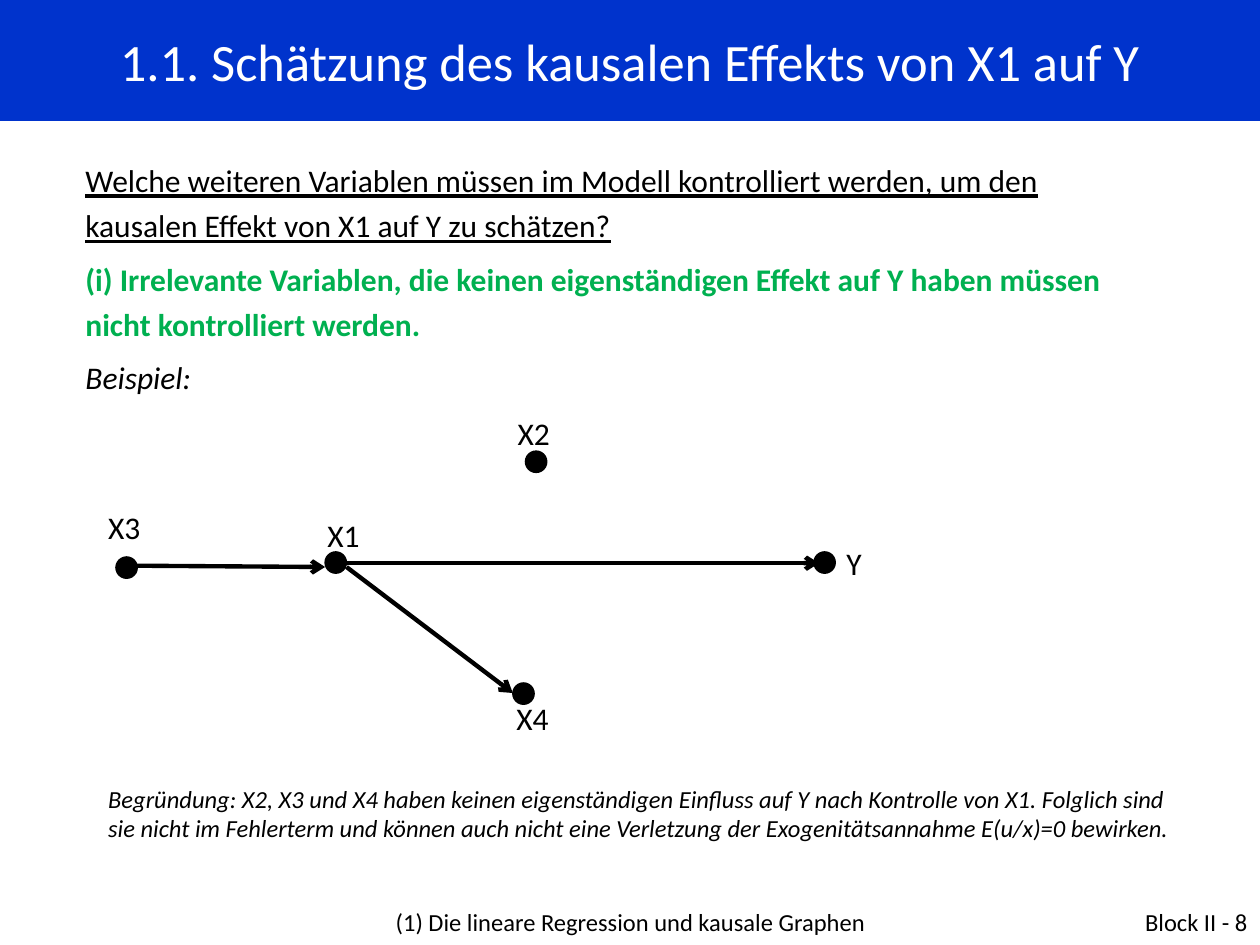
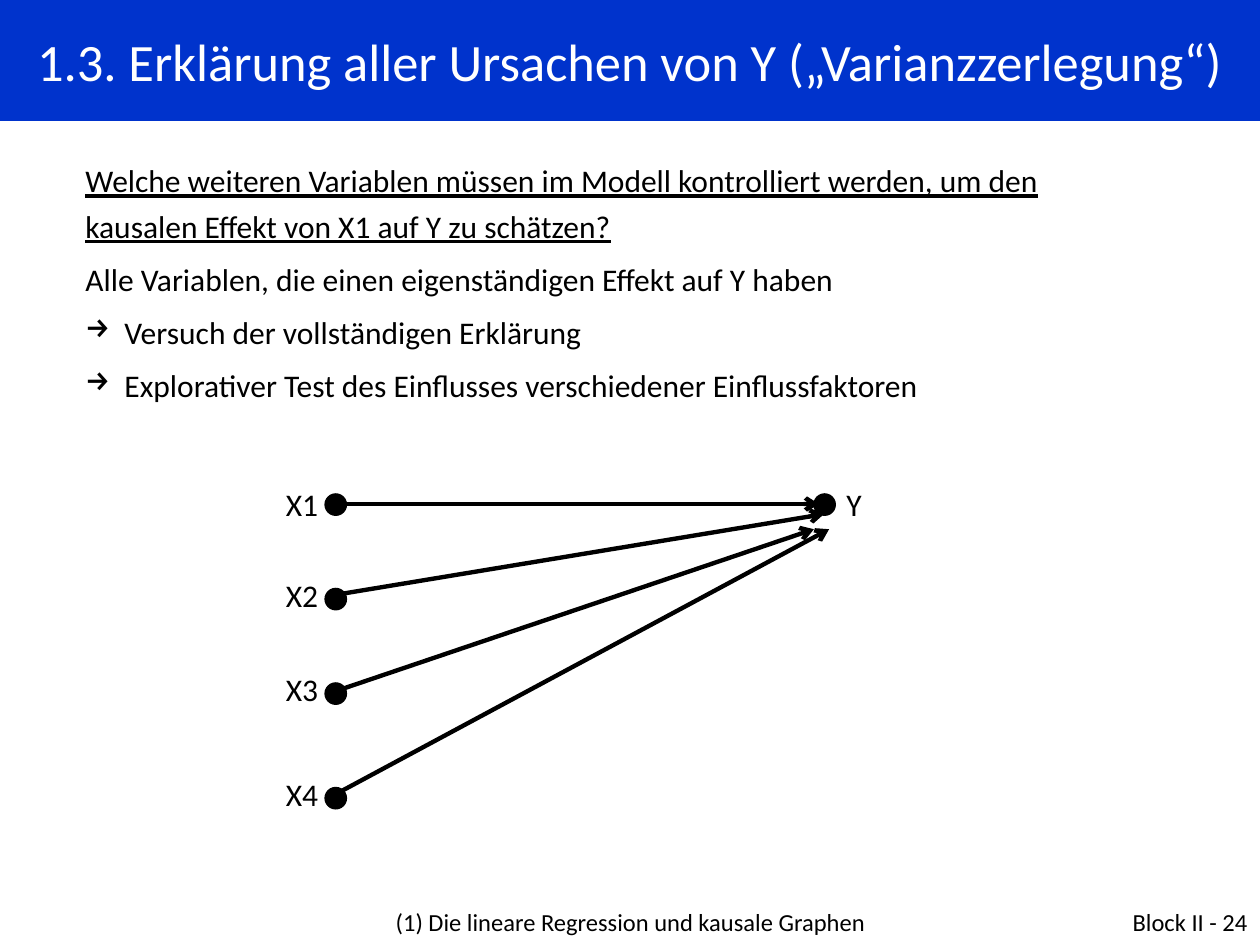
from dataclasses import dataclass, field
from typing import Any, NamedTuple

from lxml.etree import SubElement
from pptx import Presentation
from pptx.dml.color import RGBColor
from pptx.enum.shapes import MSO_CONNECTOR as Connector, MSO_SHAPE as Preset
from pptx.enum.text import MSO_ANCHOR as Anchor, MSO_AUTO_SIZE as AutoSize, PP_ALIGN as Align
from pptx.oxml.ns import qn
from pptx.slide import Slide
from pptx.util import Pt

PX = 9144  # EMU per px, 100 px to the inch
SLIDE_WIDTH, SLIDE_HEIGHT = 1000, 750
TITLE_ONLY = 5
FONT = "Calibri"
BLACK, WHITE, BLUE, GREEN = "000000", "FFFFFF", "0033CC", "00B050"
DOT = 17
LABEL_WIDTH, LABEL_HEIGHT = 50, 40
BULLET_INDENT = 31
FOOTER_TOP, FOOTER_HEIGHT = 715, 35
COURSE = "(1) Die lineare Regression und kausale Graphen"


class Box(NamedTuple):
    left: int
    top: int
    width: int
    height: int


class Node(NamedTuple):
    name: str
    dot_left: int
    dot_top: int
    label_left: int
    label_top: int


class Arrow(NamedTuple):
    x1: int
    y1: int
    x2: int
    y2: int


@dataclass
class TextLine:
    text: str
    size: float = 18
    color: str = BLACK
    align: Align = Align.LEFT
    bullet: str = ""
    font: dict[str, Any] = field(default_factory=dict)
    spacing: dict[str, Any] = field(default_factory=dict)


@dataclass
class GraphSlide:
    title: str
    page: int
    body: list[TextLine]
    body_height: int
    nodes: list[Node]
    arrows: list[Arrow]
    reason: str = ""


def body_line(text: str, color: str = BLACK, bullet: str = "", **font: Any) -> TextLine:
    spacing = {"line_spacing": 1.2, "space_after": Pt(4.5)}
    return TextLine(text, color=color, bullet=bullet, font=font, spacing=spacing)


QUESTION = body_line(
    "Welche weiteren Variablen müssen im Modell kontrolliert werden, "
    "um den kausalen Effekt von X1 auf Y zu schätzen?", underline=True)

IRRELEVANT_VARIABLES = GraphSlide(
    title="1.1. Schätzung des kausalen Effekts von X1 auf Y",
    page=8,
    body=[
        QUESTION,
        body_line("(i) Irrelevante Variablen, die keinen eigenständigen Effekt auf Y "
                  "haben müssen nicht kontrolliert werden.", GREEN, bold=True),
        body_line("Beispiel:", italic=True),
    ],
    body_height=207,
    nodes=[
        Node("X1", 258, 438, 250, 405),
        Node("X2", 417, 358, 401, 324),
        Node("X3", 92, 442, 76, 398),
        Node("X4", 407, 542, 400, 550),
        Node("Y", 646, 438, 662, 427),
    ],
    arrows=[
        Arrow(267, 447, 650, 447),
        Arrow(108, 449, 258, 450),
        Arrow(275, 450, 407, 550),
    ],
    reason="Begründung: X2, X3 und X4 haben keinen eigenständigen Einfluss auf Y nach "
           "Kontrolle von X1. Folglich sind sie nicht im Fehlerterm und können auch nicht "
           "eine Verletzung der Exogenitätsannahme E(u/x)=0 bewirken.",
)

ALL_CAUSES = GraphSlide(
    title="1.3. Erklärung aller Ursachen von Y („Varianzzerlegung“)",
    page=24,
    body=[
        QUESTION,
        body_line("Alle Variablen, die einen eigenständigen Effekt auf Y haben"),
        body_line("Versuch der vollständigen Erklärung", bullet="→"),
        body_line("Explorativer Test des Einflusses verschiedener Einflussfaktoren", bullet="→"),
    ],
    body_height=215,
    nodes=[
        Node("X1", 258, 392, 217, 380),
        *(Node(name, 258, top, 217, top - 15)
          for name, top in (("X2", 467), ("X3", 542), ("X4", 625))),
        Node("Y", 646, 392, 662, 380),
    ],
    arrows=[
        Arrow(267, 400, 650, 400),
        Arrow(267, 472, 654, 408),
        Arrow(271, 547, 646, 420),
        Arrow(267, 630, 658, 420),
    ],
)


def rgb(color: str) -> RGBColor:
    return RGBColor.from_string(color)


def scaled(lengths: tuple[int, ...]) -> list[int]:
    return [length * PX for length in lengths]


def set_attributes(target: Any, values: dict[str, Any]) -> None:
    for name, value in values.items():
        setattr(target, name, value)


def write_lines(frame: Any, lines: list[TextLine]) -> None:
    for index, line in enumerate(lines):
        paragraph = frame.add_paragraph() if index else frame.paragraphs[0]
        set_attributes(paragraph, {"alignment": line.align, **line.spacing})
        run = paragraph.add_run()
        run.text = line.text
        set_attributes(run.font, {"name": FONT, "size": Pt(line.size), **line.font})
        run.font.color.rgb = rgb(line.color)
        if line.bullet:
            properties = paragraph._p.get_or_add_pPr()
            properties.set("marL", str(BULLET_INDENT * PX))
            properties.set("indent", str(-BULLET_INDENT * PX))
            SubElement(properties, qn("a:buChar")).set("char", line.bullet)


def add_text(slide: Slide, box: Box, *lines: TextLine) -> None:
    frame = slide.shapes.add_textbox(*scaled(box)).text_frame
    frame.word_wrap = True
    write_lines(frame, list(lines))


def add_title(slide: Slide, text: str) -> None:
    """Turn the title placeholder into the blue band across the top."""
    title = slide.shapes.title
    names = ("left", "top", "width", "height")
    set_attributes(title, dict(zip(names, scaled((0, 0, SLIDE_WIDTH, 96)))))
    title.fill.solid()
    title.fill.fore_color.rgb = rgb(BLUE)
    set_attributes(title.text_frame, {
        "word_wrap": True, "auto_size": AutoSize.NONE, "vertical_anchor": Anchor.MIDDLE})
    write_lines(title.text_frame, [TextLine(text, 30, WHITE, Align.CENTER)])


def add_node(slide: Slide, node: Node) -> None:
    dot = slide.shapes.add_shape(
        Preset.OVAL, *scaled((node.dot_left, node.dot_top, DOT, DOT)))
    dot.shadow.inherit = False
    dot.fill.solid()
    dot.fill.fore_color.rgb = rgb(BLACK)
    dot.line.color.rgb = rgb(BLACK)
    dot.line.width = Pt(0.75)
    label = Box(node.label_left, node.label_top, LABEL_WIDTH, LABEL_HEIGHT)
    add_text(slide, label, TextLine(node.name))


def add_arrow(slide: Slide, arrow: Arrow) -> None:
    connector = slide.shapes.add_connector(Connector.STRAIGHT, *scaled(arrow))
    connector.line.color.rgb = rgb(BLACK)
    connector.line.width = Pt(2.5)
    SubElement(connector.line._get_or_add_ln(), qn("a:tailEnd")).set("type", "arrow")
    SubElement(connector._element.spPr, qn("a:effectLst"))


def add_footer(slide: Slide, page: int) -> None:
    add_text(slide, Box(767, FOOTER_TOP, 233, FOOTER_HEIGHT),
             TextLine(f"Block II - {page}", 14, align=Align.RIGHT))
    add_text(slide, Box(242, FOOTER_TOP, 517, FOOTER_HEIGHT),
             TextLine(COURSE, 14, align=Align.CENTER))


def add_graph_slide(presentation: Any, content: GraphSlide) -> None:
    slide = presentation.slides.add_slide(presentation.slide_layouts[TITLE_ONLY])
    add_title(slide, content.title)
    add_text(slide, Box(58, 117, 843, content.body_height), *content.body)
    for node in content.nodes:
        add_node(slide, node)
    for arrow in content.arrows:
        add_arrow(slide, arrow)
    if content.reason:
        add_text(slide, Box(76, 617, 865, 57),
                 TextLine(content.reason, 14, font={"italic": True}))
    add_footer(slide, content.page)


def main() -> None:
    presentation = Presentation()
    presentation.slide_width, presentation.slide_height = scaled((SLIDE_WIDTH, SLIDE_HEIGHT))
    for content in (IRRELEVANT_VARIABLES, ALL_CAUSES):
        add_graph_slide(presentation, content)
    presentation.save("out.pptx")


if __name__ == "__main__":
    main()
